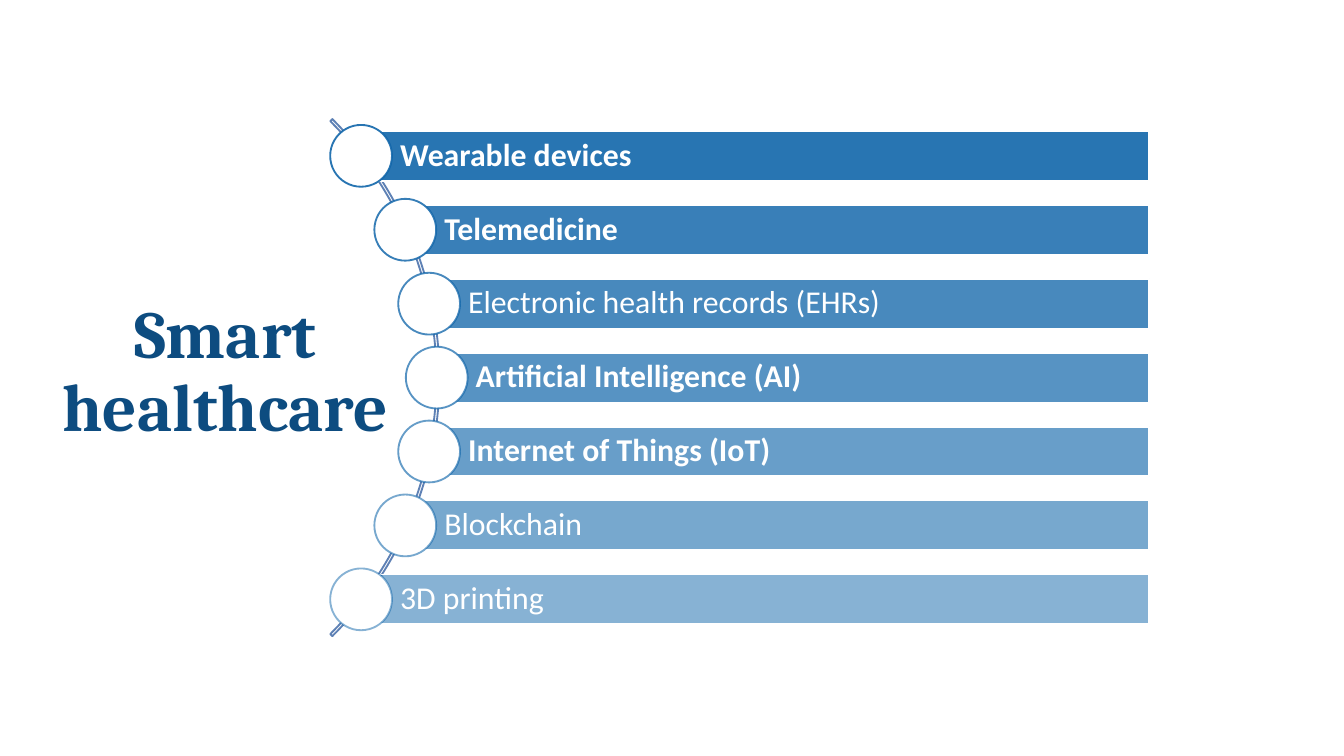
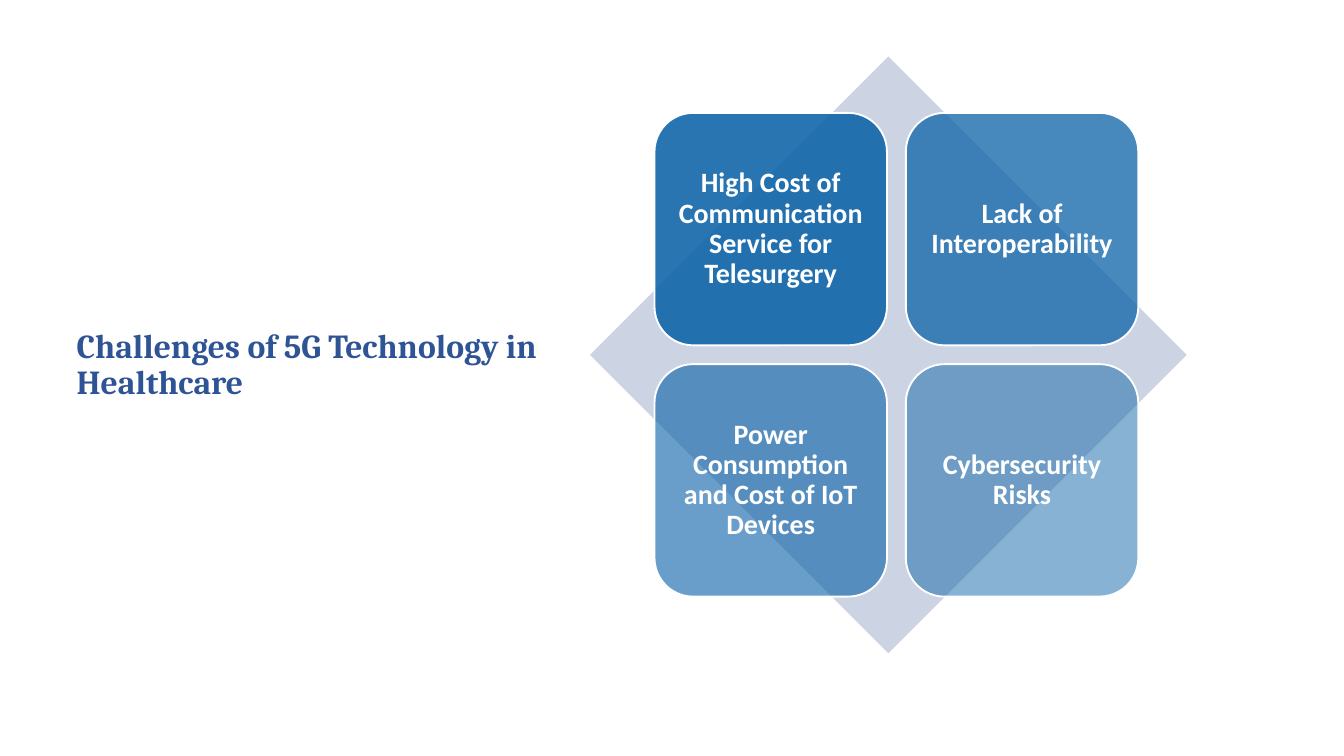
from math import sqrt

from lxml import etree
from pptx import Presentation
from pptx.dml.color import RGBColor
from pptx.enum.shapes import MSO_SHAPE
from pptx.enum.text import MSO_ANCHOR, MSO_AUTO_SIZE, PP_ALIGN
from pptx.oxml.ns import qn
from pptx.util import Inches, Pt

RECT, OVAL = MSO_SHAPE.RECTANGLE, MSO_SHAPE.OVAL
ROUND, DIAMOND, ARC = MSO_SHAPE.ROUNDED_RECTANGLE, MSO_SHAPE.DIAMOND, MSO_SHAPE.BLOCK_ARC
LEFT, CENTER = PP_ALIGN.LEFT, PP_ALIGN.CENTER
MIDDLE, BOTTOM = MSO_ANCHOR.MIDDLE, MSO_ANCHOR.BOTTOM

WIDTH = 10
HEIGHT = WIDTH * 9 / 16
COLORS = {
    "white": "FFFFFF",
    "blue": "1166AA",
    "arc": "5E81B5",
    "pale": "CCD3E2",
    "navy": "0D4C80",
    "title": "2F5496",
}
HEAD, BODY = "Cambria", "Calibri"

TOOLS = [
    ("Wearable devices", True),
    ("Telemedicine", True),
    ("Electronic health records (EHRs)", False),
    ("Artificial Intelligence (AI)", True),
    ("Internet of Things (IoT)", True),
    ("Blockchain", False),
    ("3D printing", False),
]
RISKS = [
    "High Cost of Communication Service for Telesurgery",
    "Lack of Interoperability",
    "Power Consumption and Cost of IoT Devices",
    "Cybersecurity Risks",
]


def paint(fill, color, alpha=100):
    fill.solid()
    fill.fore_color.rgb = RGBColor.from_string(COLORS[color])
    if alpha < 100:
        for node in fill._xPr.iter(qn("a:srgbClr")):
            etree.SubElement(node, qn("a:alpha")).set("val", str(round(alpha * 1000)))


def fade(i, count):
    """Opacity of item i, falling evenly from 90 to 50 percent."""
    return 90 - 40 * i / (count - 1)


def write(shape, text, size, color="white", font=BODY, bold=True,
          align=LEFT, anchor=MIDDLE, pads=(0, 0, 0, 0)):
    """Fill the shape with text; pads are left, top, right, bottom."""
    frame = shape.text_frame
    frame.word_wrap = True
    frame.auto_size = MSO_AUTO_SIZE.NONE
    frame.vertical_anchor = anchor
    (frame.margin_left, frame.margin_top,
     frame.margin_right, frame.margin_bottom) = map(Inches, pads)
    para = frame.paragraphs[0]
    para.alignment = align
    para.line_spacing = 0.9
    run = para.add_run()
    run.text = text
    run.font.name, run.font.size, run.font.bold = font, Pt(size), bold
    run.font.color.rgb = RGBColor.from_string(COLORS[color])


def draw(slide, kind, box, fill=None, line=None, alpha=100, edge=100):
    """Add a shape; alpha is the opacity of its fill, edge that of its line."""
    shape = slide.shapes.add_shape(kind, *map(Inches, box))
    shape.shadow.inherit = False
    if fill:
        paint(shape.fill, fill, alpha)
    else:
        shape.fill.background()
    if line:
        shape.line.width = Pt(1)
        paint(shape.line.fill, line, edge)
    else:
        shape.line.fill.background()
    return shape


def add_slide(deck, title, box, **form):
    slide = deck.slides.add_slide(deck.slide_layouts[5])
    head = slide.shapes.title
    head.left, head.top, head.width, head.height = map(Inches, box)
    write(head, title, font=HEAD, anchor=BOTTOM, **form)
    return slide


def draw_list(slide, items, box):
    """Stack bars in the box, each starting at a dot that lies on the arc."""
    left, top, width, height = box
    bar, dot, arc, reach = 0.37, 0.46, 5.44, 2.7
    hub, mid = left - 1.9, top + height / 2
    ring = draw(slide, ARC, (hub - arc / 2, mid - arc / 2, arc, arc), line="arc")
    for i, value in enumerate((189, 27, 0.004)):
        ring.adjustments[i] = value
    step = (height - dot) / (len(items) - 1)
    for i, (text, bold) in enumerate(items):
        y = top + dot / 2 + i * step
        x = hub + sqrt(reach ** 2 - (y - mid) ** 2)
        alpha = fade(i, len(items))
        strip = draw(slide, RECT, (x, y - bar / 2, left + width - x, bar),
                     "blue", "white", alpha)
        write(strip, text, 17, bold=bold, pads=(0.29, 0.05, 0.05, 0.05))
        draw(slide, OVAL, (x - dot / 2, y - dot / 2, dot, dot),
             "white", "blue", edge=alpha)


def draw_grid(slide, items, box):
    """Set four cards, two by two, over a diamond that fills the box."""
    left, top = box[:2]
    side, step = 1.73, 1.87
    draw(slide, DIAMOND, box, "pale")
    for i, text in enumerate(items):
        row, col = divmod(i, 2)
        card = draw(slide, ROUND,
                    (left + 0.48 + col * step, top + 0.42 + row * step, side, side),
                    "blue", "white", fade(i, len(items)))
        write(card, text, 15, align=CENTER, pads=(0.06,) * 4)


def main():
    deck = Presentation()
    deck.slide_width, deck.slide_height = Inches(WIDTH), Inches(HEIGHT)
    slide = add_slide(deck, "Smart healthcare", (0.44, 2.81, 2.47, 0.51),
                      size=36, color="navy", align=CENTER)
    draw_list(slide, TOOLS, (2.45, 0.93, 6.1, 3.76))
    slide = add_slide(deck, "Challenges of 5G Technology in Healthcare",
                      (0.57, 1.76, 3.51, 1.76), size=18, color="title",
                      pads=(0, 0, 0, 0.53))
    draw_grid(slide, RISKS, (4.39, 0.42, 4.44, 4.44))
    deck.save("out.pptx")


if __name__ == "__main__":
    main()
